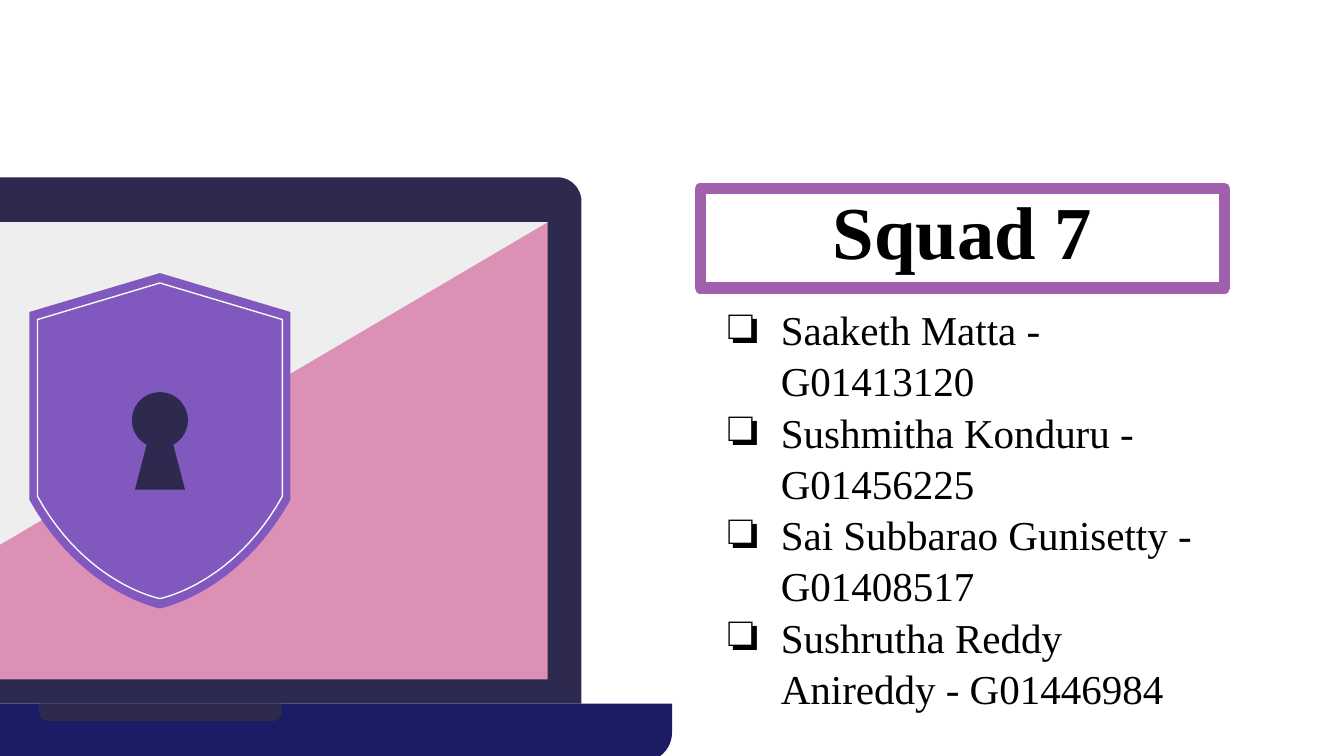
from lxml.etree import SubElement
from pptx import Presentation
from pptx.dml.color import RGBColor
from pptx.enum.shapes import MSO_SHAPE as Preset
from pptx.enum.text import MSO_ANCHOR as Anchor, MSO_AUTO_SIZE as AutoSize, PP_ALIGN as Align
from pptx.oxml.ns import qn
from pptx.util import Pt

COLORS = {
    "text": "000000", "border": "A060AD", "case": "2E294E", "base": "1C1C66",
    "screen": "DD90B6", "glare": "EEEEEE", "shield": "8058BE", "rim": "FCFCFC",
}
FONT = "Times New Roman"
MEMBERS = [
    "Saaketh Matta - G01413120",
    "Sushmitha Konduru - G01456225",
    "Sai Subbarao Gunisetty - G01408517",
    "Sushrutha Reddy Anireddy - G01446984",
]


def color(name):
    """Look up a palette colour."""
    return RGBColor.from_string(COLORS[name])


def paint(shape, fill=None, line=None, width=0.75):
    """Set fill and outline, and drop the shadow."""
    shape.shadow.inherit = False
    if fill:
        shape.fill.solid()
        shape.fill.fore_color.rgb = color(fill)
    else:
        shape.fill.background()
    if line:
        shape.line.color.rgb = color(line)
        shape.line.width = Pt(width)
    else:
        shape.line.fill.background()


def add_preset(shapes, kind, box, fill, adjustments=()):
    """Add a filled preset shape."""
    shape = shapes.add_shape(kind, *map(Pt, box))
    for index, value in enumerate(adjustments):
        shape.adjustments[index] = value
    paint(shape, fill)


def add_outline(shapes, box, points, **look):
    """Add a closed polygon whose points are fractions of the box."""
    left, top, width, height = box
    corners = [(Pt(left + x * width), Pt(top + y * height)) for x, y in points]
    builder = shapes.build_freeform(*corners[0], scale=1.0)
    builder.add_line_segments(corners[1:], close=True)
    paint(builder.convert_to_shape(), **look)


def bezier(start, bend, pull, end, steps=24):
    """Sample a cubic curve."""
    curve = []
    for step in range(steps + 1):
        t = step / steps
        weights = ((1 - t) ** 3, 3 * t * (1 - t) ** 2, 3 * t * t * (1 - t), t ** 3)
        curve.append(tuple(sum(w * p[axis] for w, p in zip(weights, (start, bend, pull, end)))
                           for axis in (0, 1)))
    return curve


def place(holder, box):
    """Move a placeholder and set its text frame."""
    holder.left, holder.top, holder.width, holder.height = map(Pt, box)
    frame = holder.text_frame
    frame.word_wrap = True
    frame.auto_size = AutoSize.NONE
    frame.margin_left = frame.margin_right = frame.margin_top = frame.margin_bottom = Pt(7.2)
    return frame


def write(paragraph, text, size, bold=False, align=Align.LEFT, spacing=1.0, bullet=None):
    """Write one formatted paragraph, with a bullet if given."""
    paragraph.alignment = align
    paragraph.line_spacing = spacing
    paragraph.space_before = paragraph.space_after = Pt(0)
    run = paragraph.add_run()
    run.text = text
    run.font.name, run.font.size, run.font.bold = FONT, Pt(size), bold
    run.font.color.rgb = color("text")
    if bullet:
        props = paragraph._p.get_or_add_pPr()
        props.set("marL", str(Pt(36)))
        props.set("indent", str(Pt(-28.8)))
        SubElement(SubElement(props, qn("a:buClr")), qn("a:srgbClr"), val=COLORS["text"])
        SubElement(props, qn("a:buFont"), typeface=FONT)
        SubElement(props, qn("a:buChar"), char=bullet)


def add_team(slide, left, top, width):
    """Fill the framed title and the member list."""
    title, members = slide.shapes.title, slide.placeholders[1]
    heading = place(title, (left, top, width, 53.3))
    heading.vertical_anchor = Anchor.BOTTOM
    paint(title, line="border", width=6)
    write(heading.paragraphs[0], "Squad 7", 40, bold=True, align=Align.CENTER)

    roster = place(members, (left, top + 54, width, 241))
    roster.vertical_anchor = Anchor.TOP
    for index, member in enumerate(MEMBERS):
        paragraph = roster.add_paragraph() if index else roster.paragraphs[0]
        write(paragraph, member, 22, spacing=1.04, bullet="❏")


def add_laptop(shapes, left, top, width, height):
    """Draw the laptop with its base along the bottom of the box."""
    base_height = 31
    hinge = top + height - base_height
    lid = (left + 48, top, width - 96.5, hinge - top)
    screen = (left + 66, top + 24, 416, 245)
    add_preset(shapes, Preset.ROUND_2_SAME_RECTANGLE, lid, "case", (0.046, 0))
    add_preset(shapes, Preset.RECTANGLE, screen, "screen")
    add_preset(shapes, Preset.ROUND_2_SAME_RECTANGLE, (left, hinge, width, base_height), "base", (0, 0.5))
    add_preset(shapes, Preset.ROUND_2_SAME_RECTANGLE, (left + 209.5, hinge, 130, 9.3), "case", (0, 0.5))
    add_outline(shapes, screen, [(0, 0), (0, 1), (1, 0)], fill="glare")


def add_shield(shapes, left, top, width, height):
    """Draw the shield with its rim and keyhole."""
    tip = (0.5, 1)
    flank = bezier((0, 0.676), (0.2, 0.956), tip, tip)
    mirrored = [(1 - x, y) for x, y in reversed(flank[:-1])]
    outline = [(0.5, 0), (0, 0.116), *flank, *mirrored, (1, 0.116)]
    rim = (left + 4.3, top + 5.3, width - 8.6, height - 10.6)
    add_outline(shapes, (left, top, width, height), outline, fill="shield")
    add_outline(shapes, rim, outline, line="rim")

    middle, hole = left + width / 2, 30
    add_preset(shapes, Preset.OVAL, (middle - hole / 2, top + 63.8, hole, hole), "case")
    add_preset(shapes, Preset.TRAPEZOID, (middle - 13.4, top + 90, 26.8, 26), "case", (0.26,))


def main():
    """Build and save the slide."""
    deck = Presentation()
    deck.slide_width, deck.slide_height = Pt(720), Pt(405)
    slide = deck.slides.add_slide(deck.slide_layouts[0])
    add_team(slide, 375.1, 101, 280.8)
    art = slide.shapes.add_group_shape().shapes
    add_laptop(art, -188.6, 95, 548.6, 313)
    add_shield(art, 15.8, 146.3, 139.8, 179.7)
    deck.save("out.pptx")


if __name__ == "__main__":
    main()
